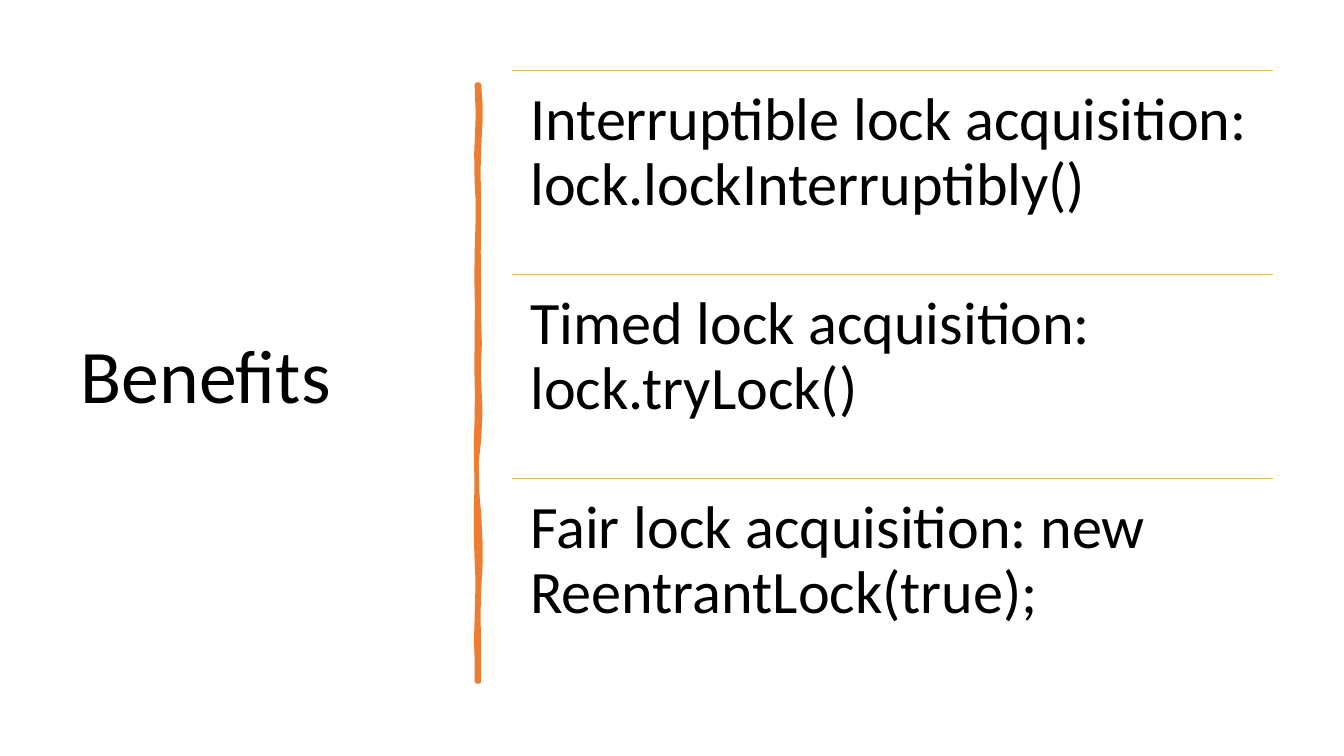
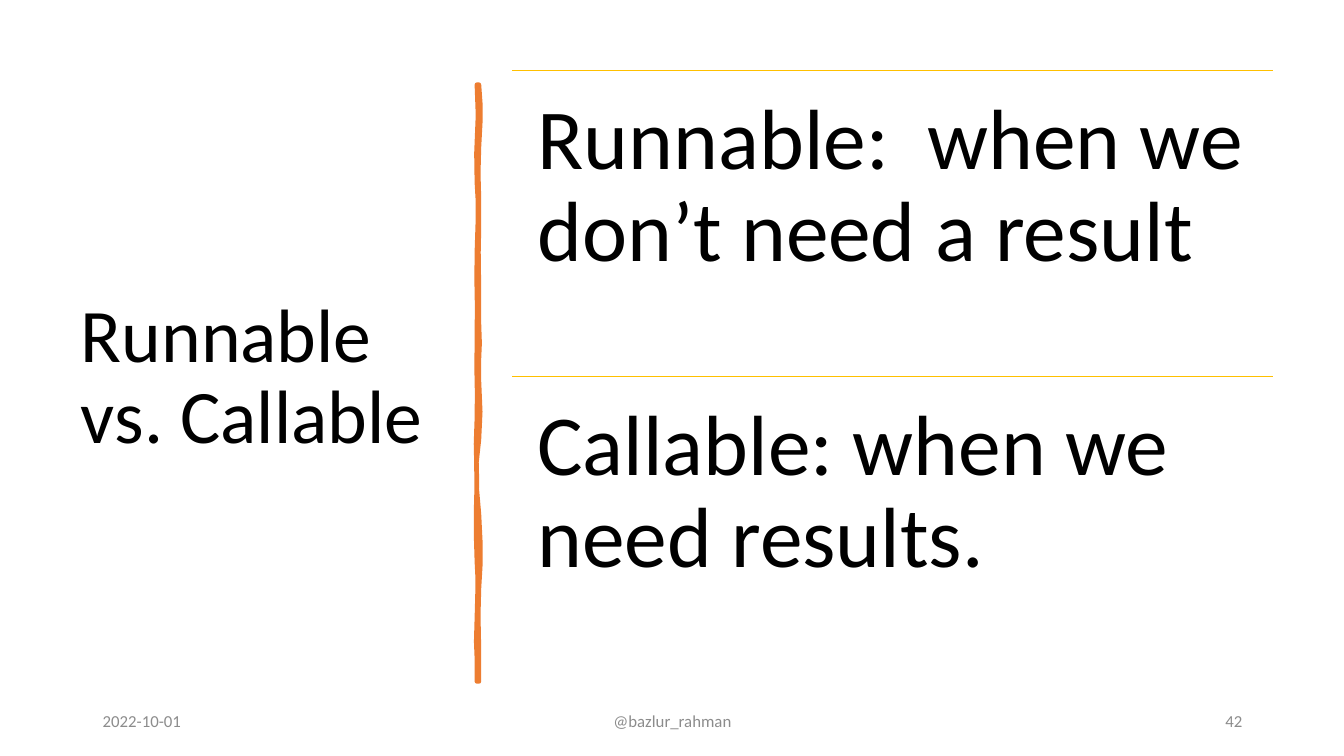
from dataclasses import dataclass

from lxml import etree
from pptx import Presentation
from pptx.dml.color import RGBColor
from pptx.enum.shapes import MSO_CONNECTOR
from pptx.enum.text import MSO_ANCHOR as Anchor, MSO_AUTO_SIZE as AutoSize, PP_ALIGN as Align
from pptx.oxml.ns import qn
from pptx.util import Inches, Pt


@dataclass(frozen=True)
class Theme:
    font: str = "Calibri"
    ink: RGBColor = RGBColor(0x00, 0x00, 0x00)
    muted: RGBColor = RGBColor(0x8C, 0x8C, 0x8C)
    brush: RGBColor = RGBColor(0xED, 0x7D, 0x31)
    rule: RGBColor = RGBColor(0xFF, 0xC0, 0x00)
    title_size: int = 54
    footer_size: int = 12
    brush_width: float = 3.25
    rule_width: float = 1


theme = Theme()

# Grid in inches: title column on the left, ruled rows on the right
SLIDE_WIDTH, SLIDE_HEIGHT = 13.33, 7.5
TOP = 0.7
TITLE_LEFT, TITLE_WIDTH, TITLE_HEIGHT = 0.7, 3.74, 6.11
ROWS_LEFT, ROWS_WIDTH, ROWS_HEIGHT = 5.08, 7.55, 6.07
FOOTER_TOP, FOOTER_HEIGHT = 6.95, 0.4
FOOTER_COLUMNS = [(0.92, 3, Align.LEFT), (4.42, 4.5, Align.CENTER), (9.42, 3, Align.RIGHT)]

# Brush stroke: start point, then Bézier segments (two controls and an end)
BRUSH_START = (4.75, 0.84)
BRUSH_CURVES = [
    ((4.77, 1.02), (4.77, 1.19), (4.75, 1.46)),
    ((4.73, 1.73), (4.76, 1.95), (4.75, 2.26)),
    ((4.74, 2.57), (4.75, 2.62), (4.75, 2.94)),
    ((4.74, 3.25), (4.77, 3.42), (4.75, 3.56)),
    ((4.73, 3.70), (4.79, 4.14), (4.75, 4.36)),
    ((4.71, 4.57), (4.72, 4.84), (4.75, 5.10)),
    ((4.77, 5.36), (4.77, 5.64), (4.75, 5.84)),
    ((4.73, 6.03), (4.76, 6.50), (4.75, 6.76)),
    ((4.74, 6.76), (4.73, 6.76), (4.73, 6.76)),
    ((4.74, 6.46), (4.71, 6.44), (4.73, 6.13)),
    ((4.74, 5.83), (4.74, 5.70), (4.73, 5.57)),
    ((4.72, 5.44), (4.72, 4.95), (4.73, 4.77)),
    ((4.73, 4.59), (4.71, 4.45), (4.73, 4.15)),
    ((4.74, 3.86), (4.72, 3.73), (4.73, 3.35)),
    ((4.74, 2.98), (4.72, 2.81), (4.73, 2.50)),
    ((4.74, 2.18), (4.75, 2.00), (4.73, 1.81)),
    ((4.70, 1.63), (4.77, 1.04), (4.73, 0.84)),
]
CURVE_STEPS = 3

# Content: title, row text size, row padding, rows, footers
SLIDES = [
    ("Benefits", 43, 0.18, [
        "Interruptible lock acquisition: lock.lockInterruptibly()",
        "Timed lock acquisition: lock.tryLock()",
        "Fair lock acquisition: new ReentrantLock(true);",
    ], []),
    ("Runnable vs. Callable", 61, 0.25, [
        "Runnable:  when we don’t need a result",
        "Callable: when we need results.",
    ], ["2022-10-01", "@bazlur_rahman", "42"]),
]


def write(shape, text, size, color, align=Align.LEFT, anchor=Anchor.MIDDLE, spacing=0.9):
    frame = shape.text_frame
    frame.text = text
    frame.word_wrap = True
    frame.auto_size = AutoSize.NONE
    frame.vertical_anchor = anchor
    paragraph = frame.paragraphs[0]
    paragraph.alignment = align
    paragraph.line_spacing = spacing
    paragraph.font.name = theme.font
    paragraph.font.size = Pt(size)
    paragraph.font.color.rgb = color
    return frame


def flatten(start, curves):
    """Return points along the curves, in EMU."""
    points = [tuple(map(Inches, start))]
    for first, second, end in curves:
        for step in range(1, CURVE_STEPS + 1):
            t = step / CURVE_STEPS
            u = 1 - t
            points.append(tuple(
                Inches(u**3 * a + 3 * u**2 * t * b + 3 * u * t**2 * c + t**3 * d)
                for a, b, c, d in zip(start, first, second, end)))
        start = end
    return points


presentation = Presentation()
presentation.slide_width = Inches(SLIDE_WIDTH)
presentation.slide_height = Inches(SLIDE_HEIGHT)

# Title position, shared through the layout
layout = presentation.slide_layouts.get_by_name("Title Only")
title_area = layout.placeholders[0]
title_area.left, title_area.top = Inches(TITLE_LEFT), Inches(TOP)
title_area.width, title_area.height = Inches(TITLE_WIDTH), Inches(TITLE_HEIGHT)

brush_start, *brush_points = flatten(BRUSH_START, BRUSH_CURVES)

for title, row_size, padding, rows, footers in SLIDES:
    slide = presentation.slides.add_slide(layout)
    shapes = slide.shapes
    write(shapes.title, title, theme.title_size, theme.ink)

    # Brush stroke between title and rows
    builder = shapes.build_freeform(*brush_start)
    builder.add_line_segments(brush_points, close=True)
    brush = builder.convert_to_shape()
    brush.shadow.inherit = False
    brush.fill.solid()
    brush.fill.fore_color.rgb = theme.brush
    brush.line.color.rgb = theme.brush
    brush.line.width = Pt(theme.brush_width)

    # Footers
    for text, (left, width, align) in zip(footers, FOOTER_COLUMNS):
        footer = shapes.add_textbox(
            Inches(left), Inches(FOOTER_TOP), Inches(width), Inches(FOOTER_HEIGHT))
        write(footer, text, theme.footer_size, theme.muted, align, spacing=1.0)

    # Equal rows, each under a rule
    row_height = ROWS_HEIGHT / len(rows)
    for index, text in enumerate(rows):
        left, top = Inches(ROWS_LEFT), Inches(TOP + index * row_height)
        rule = shapes.add_connector(
            MSO_CONNECTOR.STRAIGHT, left, top, left + Inches(ROWS_WIDTH), top)
        rule.line.color.rgb = theme.rule
        rule.line.width = Pt(theme.rule_width)
        etree.SubElement(rule._element.spPr, qn("a:effectLst"))

        row = shapes.add_textbox(left, top, Inches(ROWS_WIDTH), Inches(row_height))
        frame = write(row, text, row_size, theme.ink, anchor=Anchor.TOP)
        frame.margin_left = frame.margin_right = Inches(padding)
        frame.margin_top = frame.margin_bottom = Inches(padding)

presentation.save("out.pptx")
